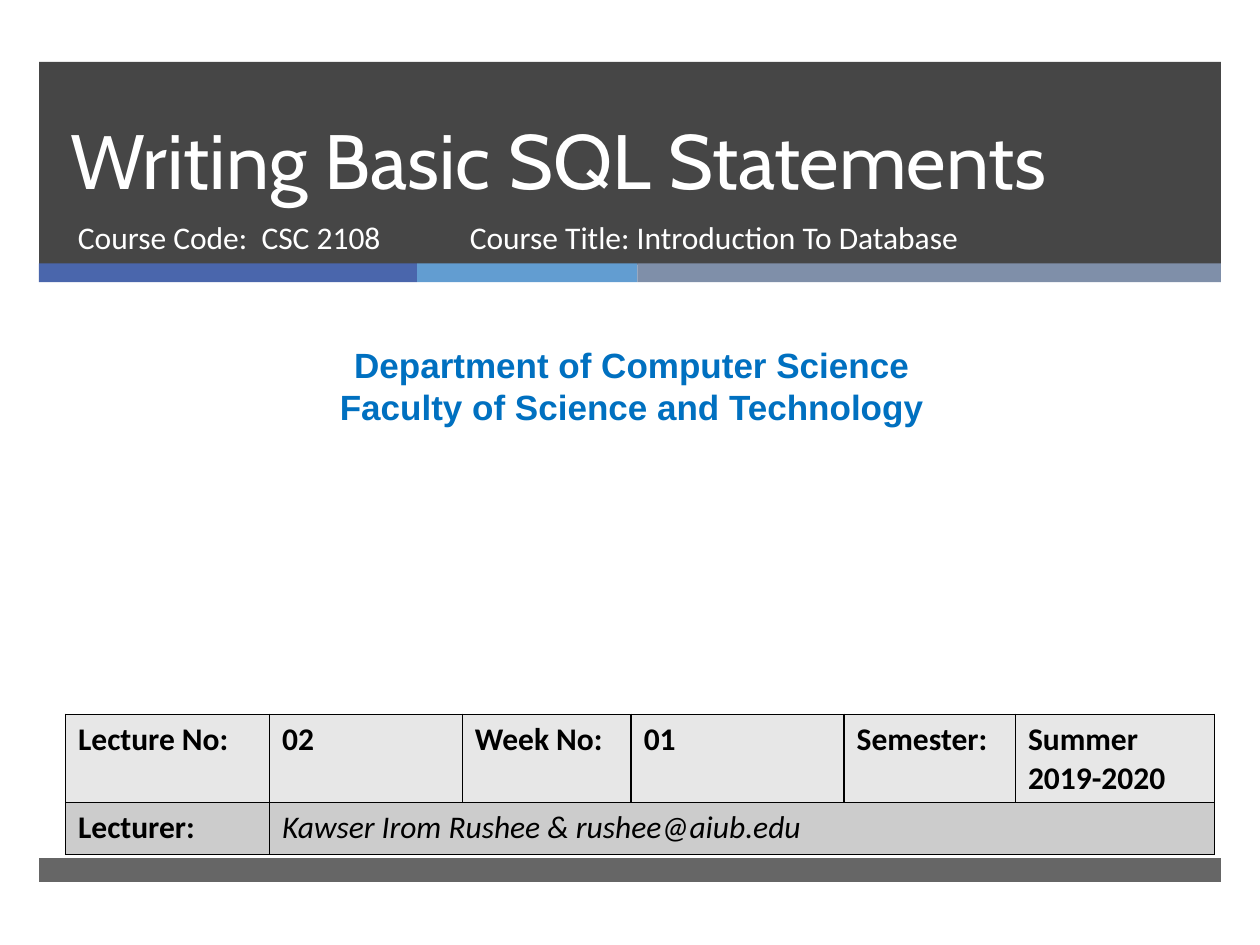
from lxml.etree import SubElement
from pptx import Presentation
from pptx.dml.color import RGBColor
from pptx.enum.shapes import MSO_SHAPE
from pptx.enum.text import MSO_ANCHOR, MSO_AUTO_SIZE, PP_ALIGN
from pptx.oxml.ns import qn
from pptx.util import Inches, Pt

WHITE, BLACK, DARK = "FFFFFF", "000000", "262626"
STRIPES = [(3, "4A66AC"), (1.75, "629DD1"), (4.63, "7F8FA9")]
COLUMN_WIDTHS = [1.62, 1.53, 1.34, 1.69, 1.36, 1.58]
ROW_HEIGHTS = [0.7, 0.41]
ROW_FILLS = ["E7E7E7", "CCCCCC"]
ROWS = [
    ["Lecture No:", "02", "Week No:", "01", "Semester:", "Summer 2019-2020"],
    ["Lecturer:", "Kawser Irom Rushee & rushee@aiub.edu"],
]


def color(value):
    """Turn a hex string into a colour."""
    return RGBColor.from_string(value)


def place(shape, left, top, width, height):
    """Move and size a shape, in inches."""
    shape.left, shape.top = Inches(left), Inches(top)
    shape.width, shape.height = Inches(width), Inches(height)


def format_text(frame, size, font, fill, bold=False, italic=False, align=PP_ALIGN.LEFT):
    """Format every run of a text frame alike."""
    for para in frame.paragraphs:
        para.alignment = align
        for span in para.runs:
            span.font.size, span.font.name = Pt(size), font
            span.font.bold, span.font.italic = bold, italic
            span.font.color.rgb = color(fill)


def add_bar(page, left, top, width, height, fill, opacity=100):
    """Add a plain rectangle without outline."""
    bar = page.shapes.add_shape(
        MSO_SHAPE.RECTANGLE, Inches(left), Inches(top), Inches(width), Inches(height))
    bar.shadow.inherit = False
    bar.line.fill.background()
    bar.fill.solid()
    bar.fill.fore_color.rgb = color(fill)
    if opacity < 100:
        tint = bar._element.spPr.find(qn("a:solidFill"))[0]
        SubElement(tint, qn("a:alpha"), val=str(opacity * 1000))


def add_text(page, left, top, width, height, text, size, font, fill, **style):
    """Add a wrapping text box."""
    box = page.shapes.add_textbox(
        Inches(left), Inches(top), Inches(width), Inches(height))
    box.text_frame.word_wrap = True
    box.text_frame.text = text
    format_text(box.text_frame, size, font, fill, **style)


def add_header(page, left, top, width, height):
    """Add the dark header with title, course details and stripes."""
    add_bar(page, left, top, width, height, DARK, 85)
    stripe_left = left
    for stripe_width, fill in STRIPES:
        add_bar(page, stripe_left, top + 1.6, stripe_width, 0.15, fill)
        stripe_left += stripe_width
    title = page.shapes.title
    page.shapes._spTree.append(title._element)
    place(title, left + 0.15, top, 8.54, 1.19)
    frame = title.text_frame
    frame.text = "Writing Basic SQL Statements"
    frame.auto_size = MSO_AUTO_SIZE.NONE
    frame.vertical_anchor = MSO_ANCHOR.BOTTOM
    frame.paragraphs[0].line_spacing = Pt(46)
    format_text(frame, 44, "Cabin", WHITE)
    details_top = top + 1.19
    add_text(page, left + 0.21, details_top, 3.05, 0.53,
             "Course Code:  CSC 2108", 18, "Calibri", WHITE)
    add_text(page, left + 3.32, details_top, 4.55, 0.53,
             "Course Title: Introduction To Database", 18, "Calibri", WHITE)


def add_borders(cell):
    """Draw a thin black line on each side of a cell."""
    properties = cell._tc.get_or_add_tcPr()
    for index, side in enumerate(("lnL", "lnR", "lnT", "lnB")):
        line = properties.makeelement(qn(f"a:{side}"), {"w": str(Pt(1))})
        fill = SubElement(line, qn("a:solidFill"))
        SubElement(fill, qn("a:srgbClr"), val=BLACK)
        properties.insert(index, line)


def add_lecture_table(page, left, top, width, height):
    """Add the table of lecture details."""
    table = page.shapes.add_table(
        len(ROWS), len(COLUMN_WIDTHS),
        Inches(left), Inches(top), Inches(width), Inches(height)).table
    for column, column_width in zip(table.columns, COLUMN_WIDTHS):
        column.width = Inches(column_width)
    for row, row_height, fill, texts in zip(table.rows, ROW_HEIGHTS, ROW_FILLS, ROWS):
        row.height = Inches(row_height)
        for cell in row.cells:
            cell.fill.solid()
            cell.fill.fore_color.rgb = color(fill)
            add_borders(cell)
        for cell, text in zip(row.cells, texts):
            cell.text_frame.text = text
            format_text(cell.text_frame, 18, "Calibri", BLACK, bold=True)
    lecturer = table.cell(1, 1)
    lecturer.merge(table.cell(1, 5))
    format_text(lecturer.text_frame, 18, "Calibri", BLACK, italic=True)


def main():
    """Build the title slide and save it."""
    deck = Presentation()
    deck.slide_width, deck.slide_height = Inches(10), Inches(7.5)
    page = deck.slides.add_slide(deck.slide_layouts[5])
    add_header(page, 0.31, 0.49, 9.38, 1.61)
    add_bar(page, 0.31, 6.81, 9.38, 0.19, DARK, 70)
    add_text(page, 0.08, 2.68, 9.87, 0.77,
             "Department of Computer Science\nFaculty of Science and Technology",
             20, "Arial", "0070C0", bold=True, align=PP_ALIGN.CENTER)
    add_lecture_table(page, 0.52, 5.67, 9.12, 1.11)
    deck.save("out.pptx")


if __name__ == "__main__":
    main()
